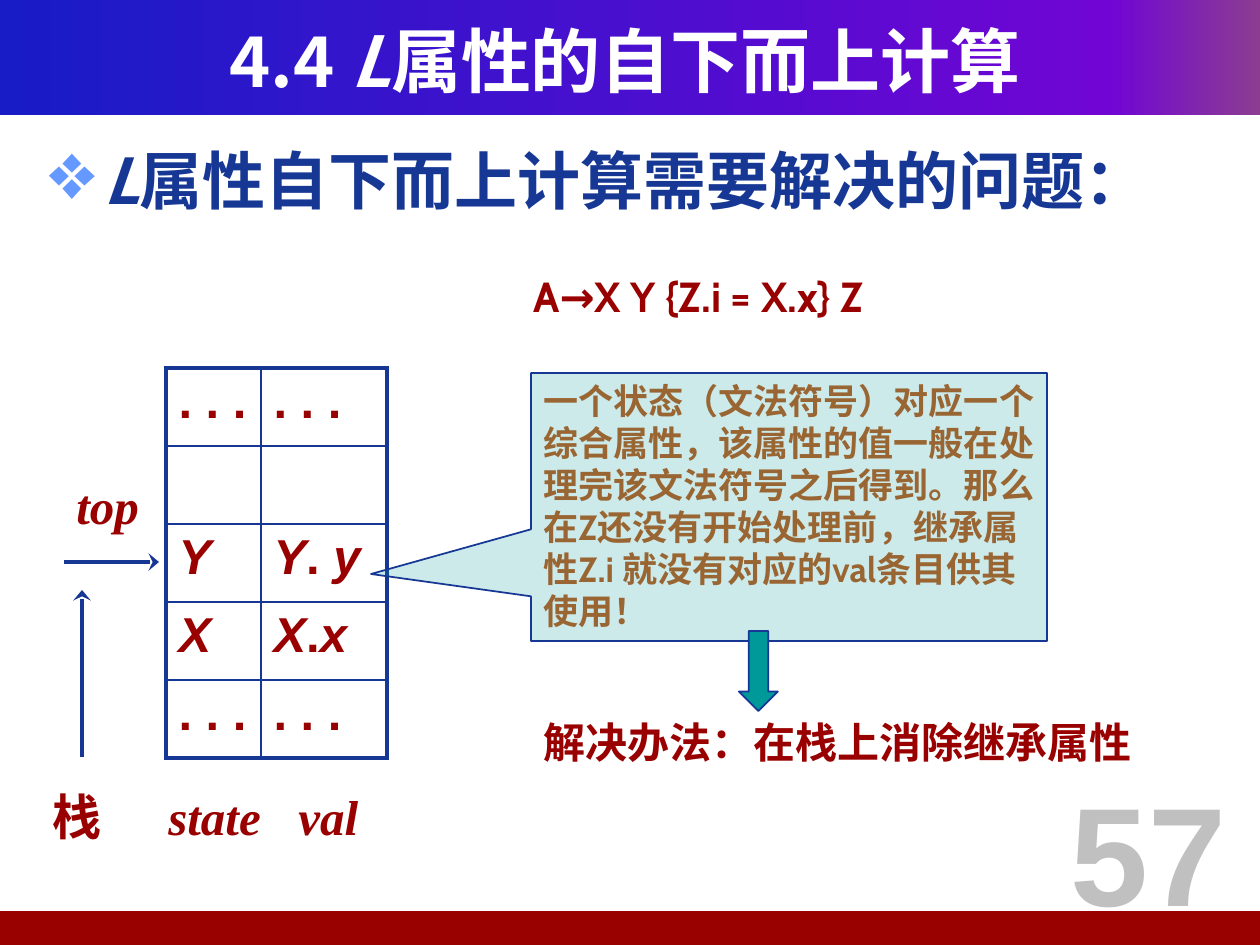
import copy
from typing import NamedTuple

import pptx
import pptx.dml.color
import pptx.enum.shapes
import pptx.enum.text
import pptx.oxml
import pptx.oxml.ns
import pptx.util
from lxml import etree

RGB = pptx.dml.color.RGBColor
SHAPE = pptx.enum.shapes.MSO_SHAPE
ALIGN = pptx.enum.text.PP_ALIGN
ANCHOR = pptx.enum.text.MSO_ANCHOR
qn = pptx.oxml.ns.qn

NAVY = RGB(0x16, 0x37, 0x94)
RED = RGB(0x99, 0x00, 0x00)
TEAL = RGB(0x00, 0x99, 0x99)
BROWN = RGB(0x99, 0x66, 0x33)
GRAY = RGB(0xC0, 0xC0, 0xC0)
WHITE = RGB(0xFF, 0xFF, 0xFF)
SKY = RGB(0x66, 0x99, 0xFF)
BANNER = [
    (0, RGB(0x18, 0x1C, 0xC7)),
    (0.88, RGB(0x70, 0x05, 0xD4)),
    (1, RGB(0x8C, 0x3D, 0x91)),
]
THICK, THIN = 2.25, 1
ROW = 78
COLS = (95, 126)
INDENT = 54


class Box(NamedTuple):
    left: int
    top: int
    width: int
    height: int


class Style(NamedTuple):
    font: str
    size: int
    color: RGB
    east: str = ""


class Run(NamedTuple):
    text: str
    slant: bool = False


class Label(NamedTuple):
    box: Box
    style: Style
    runs: list[Run]
    align: ALIGN = ALIGN.LEFT
    anchor: ANCHOR = ANCHOR.TOP
    tabs: tuple[int, ...] = ()


class Arrow(NamedTuple):
    start: tuple[int, int]
    end: tuple[int, int]


HEAD = Style("Noto Sans CJK SC", 40, WHITE)
BODY = Style("Noto Sans CJK SC", 36, NAVY)
PAGE = Style("Arial", 80, GRAY)
CELL = Style("Arial", 28, RED)
NAME = Style("Times New Roman", 28, RED, "Noto Sans CJK SC")
RULE = Style("Cabin", 24, RED)
NOTE = Style("Cabin", 20, BROWN)

DOTS = [Run(". . .")]
STACK = [
    (DOTS, DOTS),
    ([], []),
    ([Run("Y", True)], [Run("Y", True), Run(". "), Run("y", True)]),
    ([Run("X", True)], [Run("X", True), Run("."), Run("x", True)]),
    (DOTS, DOTS),
]
LABELS = [
    Label(Box(42, 21, 1166, 78), HEAD,
          [Run("4.4 "), Run("L", True), Run("属性的自下而上计算")],
          ALIGN.CENTER, ANCHOR.MIDDLE),
    Label(Box(1037, 760, 223, 179), PAGE, [Run("57")], ALIGN.CENTER),
    Label(Box(40, 779, 382, 73), NAME,
          [Run("栈\t"), Run("state\tval", True)],
          anchor=ANCHOR.MIDDLE, tabs=(116, 246)),
    Label(Box(64, 473, 100, 63), NAME, [Run("top", True)], anchor=ANCHOR.MIDDLE),
    Label(Box(521, 264, 525, 63), RULE, [Run("A→X Y {Z.i = X.x} Z")]),
    Label(Box(531, 710, 655, 63), RULE,
          [Run("解决办法：在栈上消除继承属性")]),
]
TITLE = [Run("L", True), Run("属性自下而上计算需要解决的问题：")]
REMARK = [Run("一个状态（文法符号）对应一个综合属性，该属性的值一般在处理完该文法符号之后得到。"
              "那么在Z还没有开始处理前，继承属性Z.i 就没有对应的val条目供其使用！")]
ARROWS = [Arrow((64, 562), (159, 562)), Arrow((82, 757), (82, 590))]


def px(count: int) -> int:
    return pptx.util.Emu(count * 914400 // 126)


def place(box: Box) -> list[int]:
    return [px(side) for side in box]


def sub(node, tag: str, **attrs):
    return etree.SubElement(node, qn(tag), attrs)


def write(para, style: Style, runs: list[Run]) -> None:
    for part in runs:
        run = para.add_run()
        run.text = part.text
        if part.slant:
            run.font.italic = True
    font = para.font
    font.name, font.size, font.bold = style.font, pptx.util.Pt(style.size), True
    font.color.rgb = style.color
    props = para._p.get_or_add_pPr().find(qn("a:defRPr"))
    sub(props, "a:ea", typeface=style.east or style.font)


def add_label(slide, label: Label) -> None:
    frame = slide.shapes.add_textbox(*place(label.box)).text_frame
    frame.word_wrap = True
    frame.vertical_anchor = label.anchor
    para = frame.paragraphs[0]
    para.alignment = label.align
    if label.tabs:
        stops = sub(para._p.get_or_add_pPr(), "a:tabLst")
        for stop in label.tabs:
            sub(stops, "a:tab", pos=str(px(stop)), algn="l")
    write(para, label.style, label.runs)


def add_body(slide) -> None:
    """Add the bulleted heading below the banner."""
    frame = slide.shapes.add_textbox(*place(Box(37, 135, 1134, 100))).text_frame
    frame.word_wrap = True
    para = frame.paragraphs[0]
    props = para._p.get_or_add_pPr()
    props.set("marL", str(px(INDENT)))
    props.set("indent", str(-px(INDENT)))
    sub(sub(props, "a:buClr"), "a:srgbClr", val=str(SKY))
    sub(props, "a:buSzPct", val="128000")
    sub(props, "a:buChar", char="❖")
    write(para, BODY, TITLE)


def add_block(slide, kind: SHAPE, box: Box, color: RGB, edge: bool = True):
    shape = slide.shapes.add_shape(kind, *place(box))
    shape.shadow.inherit = False
    shape.fill.solid()
    shape.fill.fore_color.rgb = color
    if edge:
        shape.line.color.rgb = NAVY
        shape.line.width = pptx.util.Pt(THIN)
    else:
        shape.line.fill.background()
    return shape


def add_banner(slide) -> None:
    fill = add_block(slide, SHAPE.RECTANGLE, Box(0, 0, 1260, 115), NAVY, False).fill
    fill.gradient()
    fill.gradient_angle = 0
    first = fill.gradient_stops[0]._gs
    first.addnext(copy.deepcopy(first))
    for stop, (spot, color) in zip(fill.gradient_stops, BANNER):
        stop.position = spot
        stop.color.rgb = color


def add_note(slide) -> None:
    """Add the see-through callout that points at the stack."""
    shape = add_block(slide, SHAPE.RECTANGULAR_CALLOUT, Box(531, 373, 516, 268), TEAL)
    shape.adjustments[0], shape.adjustments[1] = -0.81, 0.25
    tint = shape._element.spPr.find(qn("a:solidFill"))[0]
    sub(tint, "a:alpha", val="20000")
    frame = shape.text_frame
    frame.word_wrap = True
    frame.vertical_anchor = ANCHOR.TOP
    para = frame.paragraphs[0]
    para.alignment = ALIGN.LEFT
    write(para, NOTE, REMARK)


def add_stack(slide) -> None:
    rows, cols = len(STACK), len(COLS)
    box = Box(166, 368, sum(COLS), ROW * rows)
    table = slide.shapes.add_table(rows, cols, *place(box)).table
    table.first_row = table.horz_banding = False
    for col, width in zip(table.columns, COLS):
        col.width = px(width)
    for i, line in enumerate(STACK):
        table.rows[i].height = px(ROW)
        for j, runs in enumerate(line):
            cell = table.cell(i, j)
            outer = {"L": j == 0, "R": j == cols - 1, "T": i == 0, "B": i == rows - 1}
            for side, edge in outer.items():
                width = pptx.util.Pt(THICK if edge else THIN)
                rim = sub(cell._tc.get_or_add_tcPr(), f"a:ln{side}", w=str(width))
                sub(sub(rim, "a:solidFill"), "a:srgbClr", val=str(NAVY))
            cell.fill.background()
            write(cell.text_frame.paragraphs[0], CELL, runs)


def add_arrow(slide, arrow: Arrow) -> None:
    ends = [px(spot) for spot in arrow.start + arrow.end]
    line = slide.shapes.add_connector(pptx.enum.shapes.MSO_CONNECTOR.STRAIGHT, *ends)
    line.line.color.rgb = NAVY
    line.line.width = pptx.util.Pt(2)
    sub(line.line._get_or_add_ln(), "a:tailEnd", type="stealth", w="lg")
    sub(line._element.spPr, "a:effectLst")


def main() -> None:
    deck = pptx.Presentation()
    deck.slide_width, deck.slide_height = px(1260), px(945)
    slide = deck.slides.add_slide(deck.slide_layouts[6])
    add_banner(slide)
    add_block(slide, SHAPE.RECTANGLE, Box(0, 911, 1260, 34), RED, False)
    add_body(slide)
    add_stack(slide)
    add_note(slide)
    add_block(slide, SHAPE.DOWN_ARROW, Box(739, 631, 39, 80), TEAL)
    for label in LABELS:
        add_label(slide, label)
    for arrow in ARROWS:
        add_arrow(slide, arrow)
    deck.save("out.pptx")


if __name__ == "__main__":
    main()
